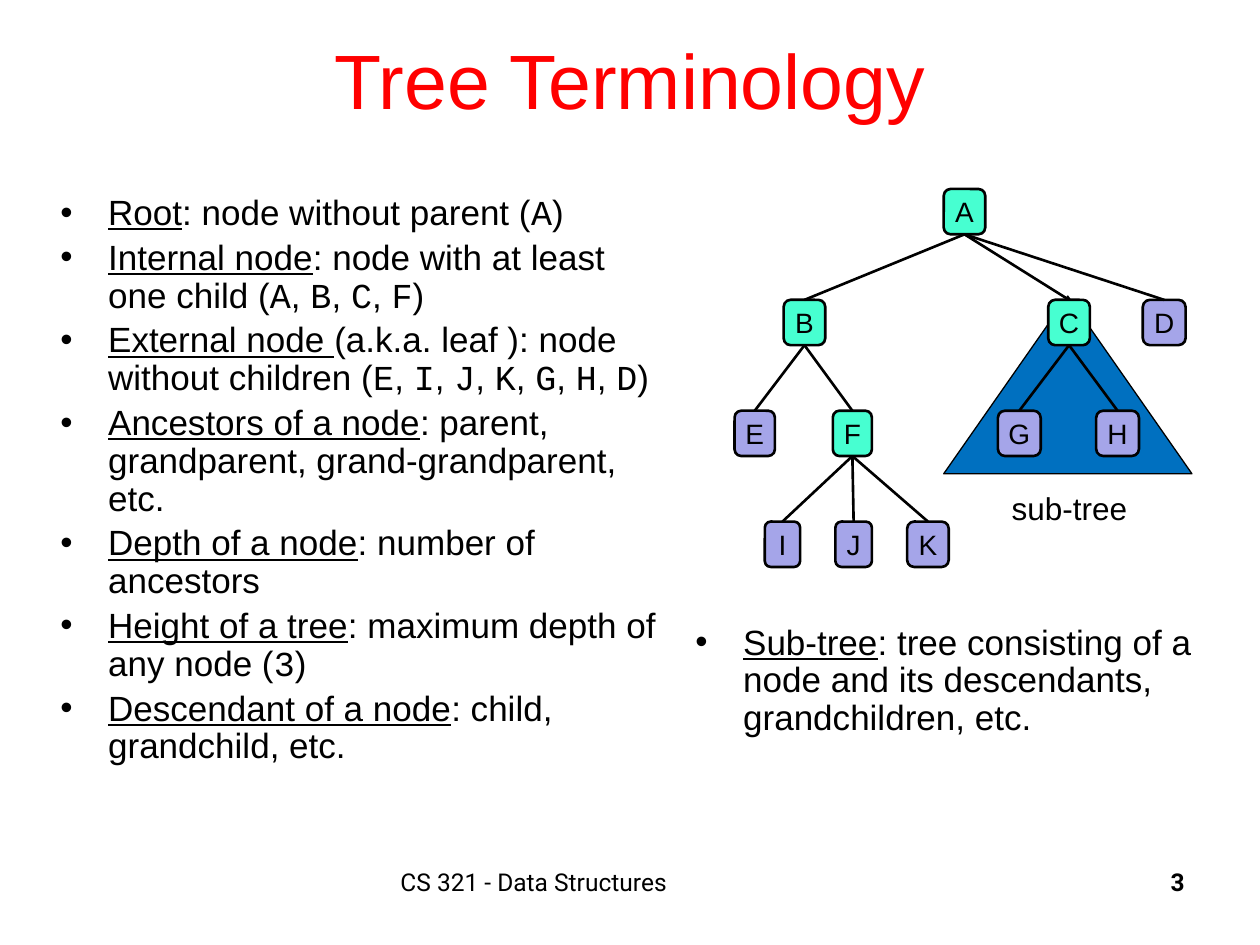
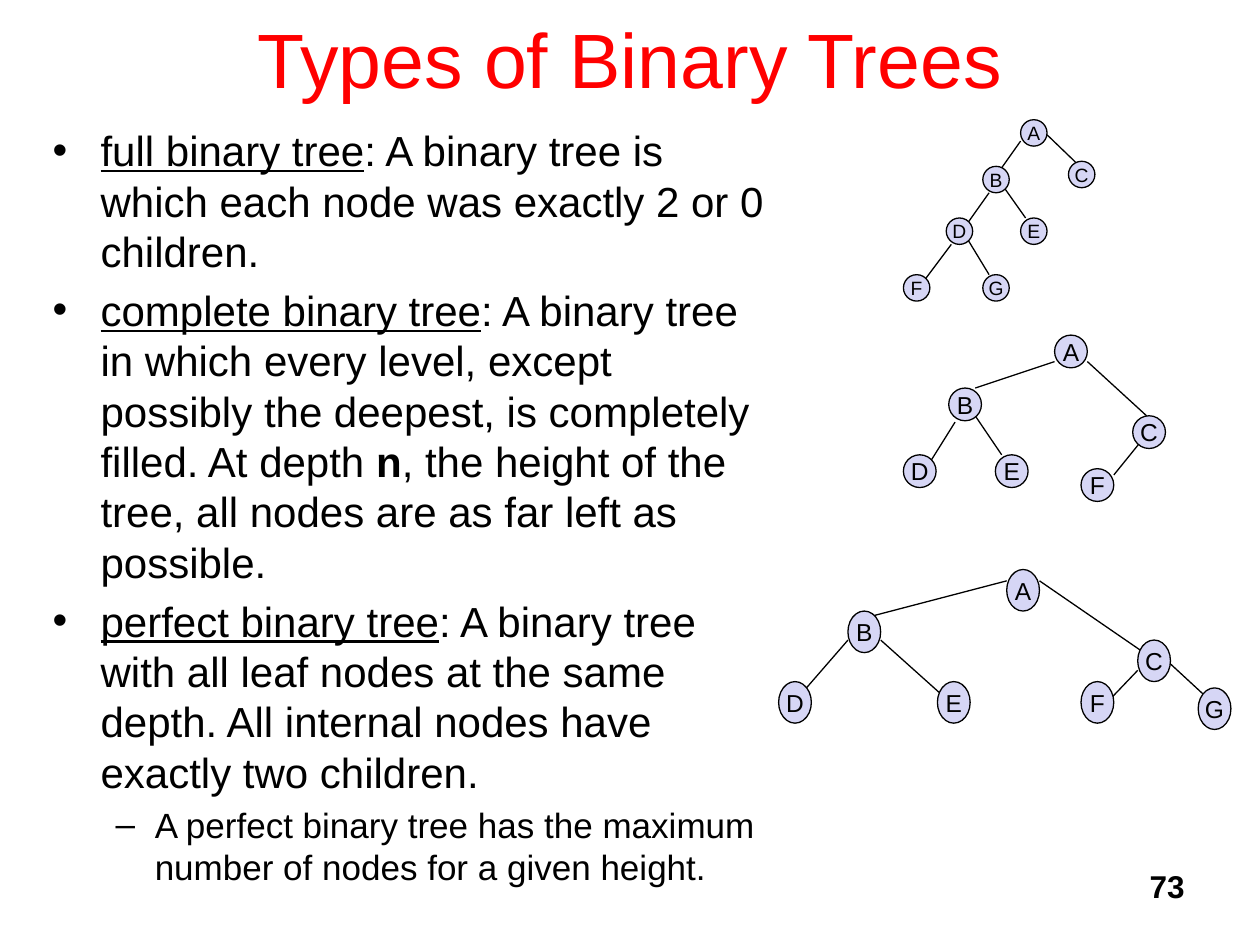
from pptx import Presentation
from pptx.dml.color import RGBColor
from pptx.enum.shapes import MSO_CONNECTOR as Line, MSO_SHAPE as Shape
from pptx.enum.text import MSO_ANCHOR as Anchor, PP_ALIGN as Align
from pptx.oxml.ns import qn
from pptx.util import Inches, Pt
from lxml import etree

COLORS = {"title": "FF0000", "ink": "000000", "internal": "47FFD1",
          "leaf": "A5A5E9", "subtree": "0070C0", "binary": "D6D6F5"}
SANS, MONO, FOOTER_FONT = "Arial", "Courier New", "Roboto"
# Bullet levels: glyph, left margin, hanging indent
BULLETS = [("•", 0.38, -0.38), ("–", 0.81, -0.31)]


def node_names(names):
    """Runs for a comma-separated list of node names in code type."""
    runs = []
    for name in names:
        runs += [("", ", "), ("code", name)] if runs else [("code", name)]
    return runs


# ---- Content: tree terminology. A run is (style, text). ----
TERMS = [
    [("under", "Root"), ("", ": node without parent ("), *node_names("A"), ("", ")")],
    [("under", "Internal node"), ("", ": node with at least one child ("),
     *node_names("ABCF"), ("", ")")],
    [("under", "External node "), ("", "(a.k.a. leaf ): node without children ("),
     *node_names("EIJKGHD"), ("", ")")],
    [("under", "Ancestors of a node"),
     ("", ": parent, grandparent, grand-grandparent, etc.")],
    [("under", "Depth of a node"), ("", ": number of ancestors")],
    [("under", "Height of a tree"), ("", ": maximum depth of any node ("),
     ("code", "3"), ("", ")")],
    [("under", "Descendant of a node"), ("", ": child, grandchild, etc.")],
]
SUBTREE_TERM = [
    [("under", "Sub-tree"),
     ("", ": tree consisting of a node and its descendants, grandchildren, etc.")],
]
CHILDREN = {"A": "BCD", "B": "EF", "C": "GH", "F": "IJK"}
# Each level of the tree: name -> (left, width)
LEVELS = [
    {"A": (7.49, 0.33)},
    {"B": (6.22, 0.33), "C": (8.32, 0.33), "D": (9.07, 0.34)},
    {"E": (5.83, 0.32), "F": (6.61, 0.31), "G": (7.92, 0.34), "H": (8.7, 0.34)},
    {"I": (6.07, 0.28), "J": (6.63, 0.29), "K": (7.2, 0.33)},
]
TREE_TOP, LEVEL_STEP, NODE_HEIGHT = 1.5, 0.88, 0.36

# ---- Content: types of binary trees. An item is (level, size, runs). ----
TREE_TYPES = [
    (0, 24, [("under", "full binary tree"),
             ("", ": A binary tree is which each node was exactly 2 or 0 children.")]),
    (0, 24, [("under", "complete binary tree"),
             ("", ": A binary tree in which every level, except possibly the deepest, "
                  "is completely filled. At depth "),
             ("bold", "n"),
             ("", ", the height of the tree, all nodes are as far left as possible.")]),
    (0, 24, [("under", "perfect binary tree"),
             ("", ": A binary tree with all leaf nodes at the same depth. "
                  "All internal nodes have exactly two children.")]),
    (1, 20, [("", "A perfect binary tree has the maximum number of nodes "
                  "for a given height.")]),
]
# Nodes are name -> (left, top); edges are (x1, y1, x2, y2)
BINARY_TREES = [
    {"size": (0.21, 0.21), "letter": 11,  # full
     "nodes": {"A": (8.1, 0.95), "B": (7.8, 1.32), "C": (8.48, 1.28), "D": (7.51, 1.73),
               "E": (8.1, 1.73), "F": (7.17, 2.18), "G": (7.8, 2.18)},
     "edges": [(8.1, 1.12, 7.93, 1.36), (8.31, 1.07, 8.57, 1.32),
               (7.85, 1.53, 7.68, 1.77), (7.97, 1.49, 8.14, 1.73),
               (7.55, 1.94, 7.34, 2.22), (7.68, 1.9, 7.85, 2.18)]},
    {"size": (0.26, 0.26), "letter": 14,  # complete
     "nodes": {"A": (8.37, 2.66), "B": (7.53, 3.08), "C": (8.99, 3.3),
               "D": (7.17, 3.61), "E": (7.9, 3.61), "F": (8.58, 3.72)},
     "edges": [(7.74, 3.08, 8.37, 2.87), (8.63, 2.87, 9.1, 3.3),
               (7.58, 3.35, 7.38, 3.67), (7.74, 3.3, 7.95, 3.61),
               (8.84, 3.77, 9.05, 3.51)]},
    {"size": (0.26, 0.33), "letter": 14,  # perfect
     "nodes": {"A": (7.99, 4.52), "B": (6.73, 4.85), "C": (9.03, 5.08),
               "D": (6.18, 5.41), "E": (7.44, 5.41), "F": (8.58, 5.41),
               "G": (9.51, 5.46)},
     "edges": [(6.92, 4.89, 7.99, 4.61), (8.25, 4.61, 9.05, 5.16),
               (6.73, 5.08, 6.4, 5.46), (6.99, 5.08, 7.47, 5.51),
               (9.03, 5.32, 8.81, 5.55), (9.29, 5.27, 9.55, 5.51)]},
]


# ---- Shared parts ----
def rgb(key):
    return RGBColor.from_string(COLORS[key])


def add_run(paragraph, text, size, style="", font=SANS, color="ink"):
    run = paragraph.add_run()
    run.text = text
    run.font.name = MONO if style == "code" else font
    run.font.size = Pt(size)
    run.font.color.rgb = rgb(color)
    run.font.underline = style == "under"
    run.font.bold = style == "bold"


def add_frame(slide, box):
    frame = slide.shapes.add_textbox(*map(Inches, box)).text_frame
    frame.word_wrap = True
    return frame


def add_label(slide, box, text, size, align=Align.LEFT, **look):
    frame = add_frame(slide, box)
    frame.paragraphs[0].alignment = align
    add_run(frame.paragraphs[0], text, size, **look)
    return frame


def add_title(slide, top, text):
    frame = add_label(slide, (0.75, top, 8.5, 1.25), text, 44, Align.CENTER, color="title")
    frame.vertical_anchor = Anchor.MIDDLE


def add_page_number(slide, number, size, font):
    add_label(slide, (7.42, 6.83, 2.08, 0.5), number, size, Align.RIGHT,
              style="bold", font=font)


def add_bullets(slide, box, items, line_spacing=1.0):
    frame = add_frame(slide, box)
    for index, (level, size, runs) in enumerate(items):
        paragraph = frame.add_paragraph() if index else frame.paragraphs[0]
        paragraph.line_spacing = line_spacing
        paragraph.space_before = Pt(0.2 * size)
        glyph, margin, indent = BULLETS[level]
        props = paragraph._p.get_or_add_pPr()
        props.set("marL", str(Inches(margin)))
        props.set("indent", str(Inches(indent)))
        etree.SubElement(props, qn("a:buFont")).set("typeface", SANS)
        etree.SubElement(props, qn("a:buChar")).set("char", glyph)
        for style, text in runs:
            add_run(paragraph, text, size, style)


def add_outline(slide, kind, box, fill, weight):
    shape = slide.shapes.add_shape(kind, *map(Inches, box))
    shape.shadow.inherit = False
    shape.fill.solid()
    shape.fill.fore_color.rgb = rgb(fill)
    shape.line.color.rgb = rgb("ink")
    shape.line.width = Pt(weight)
    return shape


def add_node(slide, kind, box, name, fill, weight, letter):
    node = add_outline(slide, kind, box, fill, weight)
    frame = node.text_frame
    frame.word_wrap = False
    frame.margin_left = frame.margin_right = frame.margin_top = frame.margin_bottom = 0
    frame.vertical_anchor = Anchor.MIDDLE
    frame.paragraphs[0].alignment = Align.CENTER
    add_run(frame.paragraphs[0], name, letter)
    return node


def add_edge(slide, ends, weight):
    edge = slide.shapes.add_connector(Line.STRAIGHT, *map(Inches, ends))
    edge.line.color.rgb = rgb("ink")
    edge.line.width = Pt(weight)
    etree.SubElement(edge._element.spPr, qn("a:effectLst"))
    return edge


# ---- Slides ----
def build_terminology(slide):
    add_label(slide, (3.08, 6.83, 3.83, 0.5), "CS 321 - Data Structures", 14,
              font=FOOTER_FONT)
    add_page_number(slide, "3", 14, FOOTER_FONT)
    add_title(slide, 0, "Tree Terminology")
    for box, terms in (((0.38, 1.5, 4.98, 4.92), TERMS),
                       ((5.42, 4.91, 4.33, 1.1), SUBTREE_TERM)):
        add_bullets(slide, box, [(0, 20, runs) for runs in terms], 0.9)

    # Sub-tree backdrop, then the tree
    add_outline(slide, Shape.ISOSCELES_TRIANGLE, (7.49, 2.35, 1.97, 1.41), "subtree", 0.75)
    caption = add_label(slide, (7.93, 3.83, 1.35, 0.4), "sub-tree", 18)
    caption.paragraphs[0].space_before = Pt(3.6)
    nodes = {}
    for depth, level in enumerate(LEVELS):
        for name, (left, width) in level.items():
            box = (left, TREE_TOP + depth * LEVEL_STEP, width, NODE_HEIGHT)
            fill = "internal" if name in CHILDREN else "leaf"
            nodes[name] = add_node(slide, Shape.ROUNDED_RECTANGLE, box, name, fill, 1.5, 16)
    for parent, children in CHILDREN.items():
        for child in children:
            edge = add_edge(slide, (0, 0, 0, 0), 1.5)
            edge.begin_connect(nodes[parent], 2)
            edge.end_connect(nodes[child], 0)


def build_tree_types(slide):
    add_page_number(slide, "73", 18, SANS)
    add_title(slide, -0.17, "Types of Binary Trees")
    add_bullets(slide, (0.32, 0.94, 5.89, 6.38), TREE_TYPES)
    # Edges lie behind the nodes so that no line crosses a letter
    for tree in BINARY_TREES:
        for ends in tree["edges"]:
            add_edge(slide, ends, 0.75)
        for name, corner in tree["nodes"].items():
            add_node(slide, Shape.OVAL, corner + tree["size"], name, "binary", 0.75,
                     tree["letter"])


def main():
    deck = Presentation()
    deck.slide_width, deck.slide_height = Inches(10), Inches(7.5)
    for build in (build_terminology, build_tree_types):
        build(deck.slides.add_slide(deck.slide_layouts[6]))
    deck.save("out.pptx")


if __name__ == "__main__":
    main()
